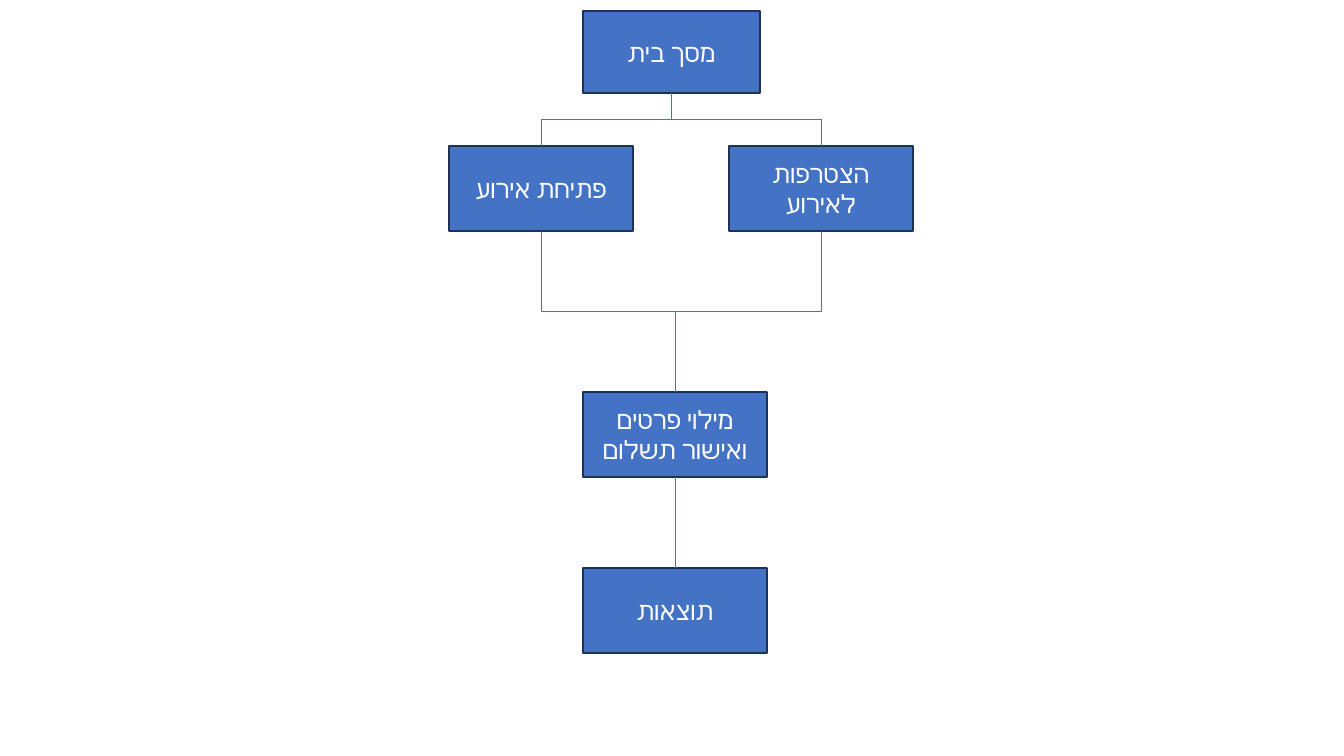
from lxml.etree import SubElement
from pptx import Presentation
from pptx.dml.color import RGBColor
from pptx.enum.shapes import MSO_CONNECTOR, MSO_SHAPE
from pptx.enum.text import MSO_ANCHOR, PP_ALIGN
from pptx.oxml.ns import qn
from pptx.util import Pt

EMU_PER_PIXEL = 914400 / 100.8
COLORS = {"box": "4472C4", "outline": "1E3256", "link": "4472C4", "text": "FFFFFF"}
TOP_SITE, BOTTOM_SITE = 0, 2


def px(pixels):
    return round(pixels * EMU_PER_PIXEL)


def color(name):
    return RGBColor.from_string(COLORS[name])


def write_text(shape, text, size=18, font="Calibri", fill="text"):
    frame = shape.text_frame
    frame.word_wrap = True
    frame.vertical_anchor = MSO_ANCHOR.MIDDLE
    paragraph = frame.paragraphs[0]
    paragraph.alignment = PP_ALIGN.CENTER
    paragraph._p.get_or_add_pPr().set("rtl", "1")
    run = paragraph.add_run()
    run.text = text
    run.font.size = Pt(size)
    run.font.name = font
    run.font.color.rgb = color(fill)


def add_step(slide, text, left, top, width, height):
    shape = slide.shapes.add_shape(
        MSO_SHAPE.RECTANGLE, px(left), px(top), px(width), px(height))
    shape.shadow.inherit = False
    shape.fill.solid()
    shape.fill.fore_color.rgb = color("box")
    shape.line.color.rgb = color("outline")
    shape.line.width = Pt(1)
    write_text(shape, text)
    return shape


def link_steps(slide, upper, lower):
    """Join the bottom of one step to the top of another."""
    shift = (lower.left + lower.width // 2) - (upper.left + upper.width // 2)
    kind = MSO_CONNECTOR.ELBOW if shift else MSO_CONNECTOR.STRAIGHT
    connector = slide.shapes.add_connector(kind, 0, 0, 0, 0)
    connector.begin_connect(upper, BOTTOM_SITE)
    connector.end_connect(lower, TOP_SITE)
    connector.line.color.rgb = color("link")
    connector.line.width = Pt(0.5)
    properties = connector._element.spPr
    SubElement(properties, qn("a:effectLst"))

    # An elbow leaves sideways, so a quarter turn makes it leave downwards
    if shift:
        center_x = connector.left + connector.width // 2
        center_y = connector.top + connector.height // 2
        width, height = connector.height, connector.width
        connector.left, connector.top = center_x - width // 2, center_y - height // 2
        connector.width, connector.height = width, height
        transform = properties.find(qn("a:xfrm"))
        transform.set("rot", "16200000" if shift > 0 else "5400000")
        transform.set("flipH", "1" if shift > 0 else "0")


def add_screen_flow(slide, left, top):
    step_size = (184, 85)
    middle = left + 134
    choice_top = top + 135

    # Screens
    home = add_step(slide, "מסך בית", middle, top, 177, 82)
    opening = add_step(slide, "פתיחת אירוע", left, choice_top, *step_size)
    joining = add_step(slide, "הצטרפות לאירוע", left + 280, choice_top, *step_size)
    details = add_step(slide, "מילוי פרטים ואישור תשלום", middle, top + 381, *step_size)
    results = add_step(slide, "תוצאות", middle, top + 557, *step_size)

    # Links between screens
    for upper, lower in ((home, joining), (home, opening), (details, results),
                         (joining, details), (opening, details)):
        link_steps(slide, upper, lower)


presentation = Presentation()
presentation.slide_width = px(1344)
presentation.slide_height = px(756)
flow_slide = presentation.slides.add_slide(presentation.slide_layouts[6])
add_screen_flow(flow_slide, left=449, top=11)
presentation.save("out.pptx")
